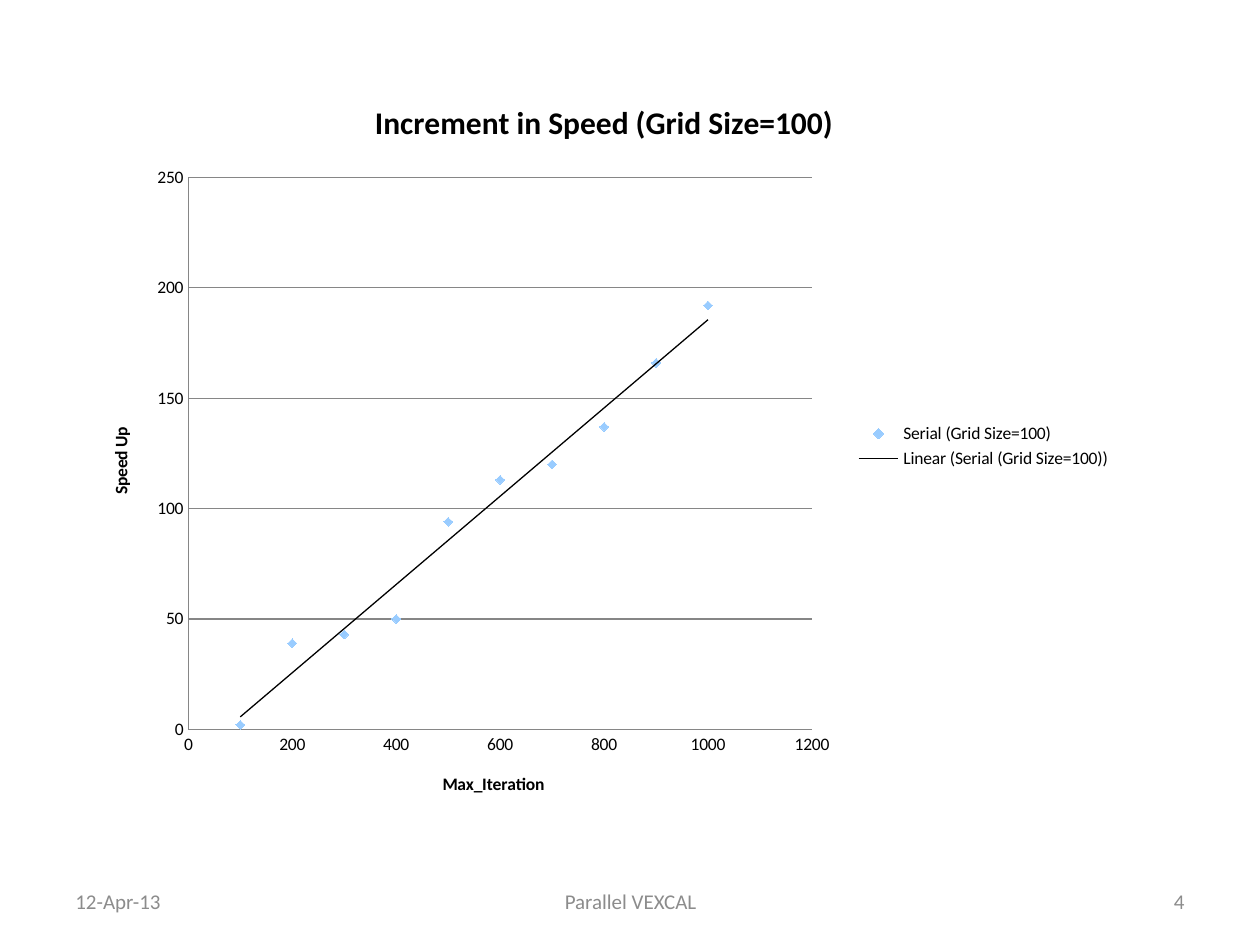
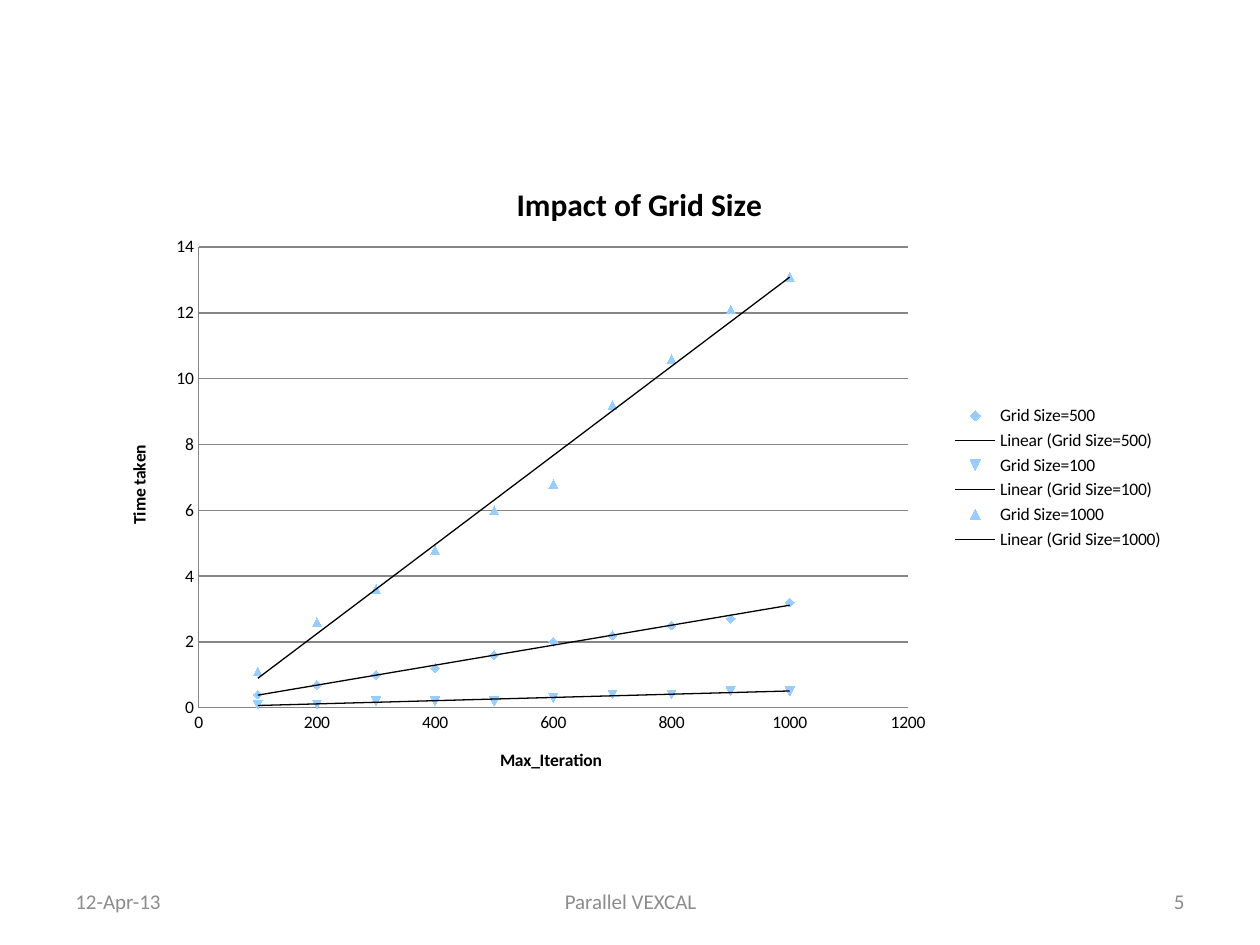
from dataclasses import dataclass

import pptx
import pptx.chart.data
import pptx.dml.color
import pptx.enum.chart
import pptx.enum.text
import pptx.oxml
import pptx.oxml.ns
import pptx.util

Inches = pptx.util.Inches
Pt = pptx.util.Pt
RGBColor = pptx.dml.color.RGBColor
Align = pptx.enum.text.PP_ALIGN

# Shared look
FONT = "Calibri"
BLACK = RGBColor(0x00, 0x00, 0x00)
FOOTER_GREY = RGBColor(0x8C, 0x8C, 0x8C)
GRID_GREY = RGBColor(0x86, 0x86, 0x86)
MARKER_BLUE = RGBColor(0x99, 0xCC, 0xFF)

DATE = "12-Apr-13"
TOPIC = "Parallel VEXCAL"
FOOTER_TOP, FOOTER_HEIGHT = 6.95, 0.4
ITERATIONS = range(100, 1001, 100)


@dataclass
class Measurement:
    """One scatter series: a value for each iteration count."""
    name: str
    values: list[float]


@dataclass
class ScatterSlide:
    number: int
    title: str
    value_title: str
    box: tuple[float, float, float, float]
    plot: tuple[float, float, float, float]  # fractions of the chart box
    value_max: float
    value_step: float
    measurements: list[Measurement]


SLIDES = [
    ScatterSlide(
        4, "Increment in Speed (Grid Size=100)", "Speed Up",
        (0.67, 0.58, 8.25, 5.92), (0.1, 0.14, 0.6, 0.74), 250, 50,
        [Measurement("Serial (Grid Size=100)",
                     [2, 39, 43, 50, 94, 113, 120, 137, 166, 192])]),
    ScatterSlide(
        5, "Impact of Grid Size", "Time taken",
        (0.81, 1.25, 8.53, 5.08), (0.09, 0.14, 0.66, 0.72), 14, 2,
        [Measurement("Grid Size=500",
                     [0.4, 0.7, 1, 1.2, 1.6, 2, 2.2, 2.5, 2.7, 3.2]),
         Measurement("Grid Size=100",
                     [0.1, 0.1, 0.2, 0.2, 0.2, 0.3, 0.4, 0.4, 0.5, 0.5]),
         Measurement("Grid Size=1000",
                     [1.1, 2.6, 3.6, 4.8, 6, 6.8, 9.2, 10.6, 12.1, 13.1])]),
]


def write(frame, text: str, *, size: float, color: RGBColor = BLACK,
          bold: bool = False, align: Align = Align.LEFT) -> None:
    """Put one formatted paragraph into a text frame."""
    paragraph = frame.paragraphs[0]
    paragraph.alignment = align
    run = paragraph.add_run()
    run.text = text
    run.font.name = FONT
    run.font.size = Pt(size)
    run.font.bold = bold
    run.font.color.rgb = color


def add_footer(slide, number: int) -> None:
    """Date, topic and slide number along the bottom edge."""
    for text, left, width, align in (
            (DATE, 0.5, 2.33, Align.LEFT),
            (TOPIC, 3.42, 3.17, Align.CENTER),
            (str(number), 7.17, 2.33, Align.RIGHT)):
        box = slide.shapes.add_textbox(Inches(left), Inches(FOOTER_TOP),
                                       Inches(width), Inches(FOOTER_HEIGHT))
        frame = box.text_frame
        frame.word_wrap = True
        frame.vertical_anchor = pptx.enum.text.MSO_ANCHOR.MIDDLE
        write(frame, text, size=12, color=FOOTER_GREY, align=align)


def place_plot(chart, fractions: tuple[float, float, float, float]) -> None:
    """Fix the inner plot area inside the chart box."""
    sizes = "".join(f'<c:{tag} val="{value}"/>'
                    for tag, value in zip("xywh", fractions))
    layout = pptx.oxml.parse_xml(
        f'<c:layout {pptx.oxml.ns.nsdecls("c")}><c:manualLayout>'
        '<c:layoutTarget val="inner"/><c:xMode val="edge"/>'
        f'<c:yMode val="edge"/>{sizes}</c:manualLayout></c:layout>')
    plot_area = chart.element.find(".//" + pptx.oxml.ns.qn("c:plotArea"))
    for old in plot_area.findall(pptx.oxml.ns.qn("c:layout")):
        plot_area.remove(old)
    plot_area.insert(0, layout)


def add_linear_trend(series) -> None:
    """Black straight trend line through one series."""
    trend = pptx.oxml.parse_xml(
        f'<c:trendline {pptx.oxml.ns.nsdecls("c", "a")}>'
        f'<c:spPr><a:ln w="{Pt(0.75)}"><a:solidFill><a:srgbClr val="{BLACK}"/>'
        '</a:solidFill></a:ln></c:spPr><c:trendlineType val="linear"/>'
        '<c:dispRSqr val="0"/><c:dispEq val="0"/></c:trendline>')
    x_values = series._element.find(pptx.oxml.ns.qn("c:xVal"))
    x_values.addprevious(trend)


def format_axis(axis, title: str, maximum: float, step: float,
                grid: bool) -> None:
    axis.minimum_scale, axis.maximum_scale = 0, maximum
    axis.major_unit = step
    axis.major_tick_mark = pptx.enum.chart.XL_TICK_MARK.NONE
    axis.minor_tick_mark = pptx.enum.chart.XL_TICK_MARK.NONE
    axis.tick_labels.number_format = "General"
    axis.tick_labels.number_format_is_linked = False
    axis.format.line.color.rgb = GRID_GREY
    axis.format.line.width = Pt(0.75)
    axis.has_major_gridlines = grid
    if grid:
        axis.major_gridlines.format.line.color.rgb = GRID_GREY
        axis.major_gridlines.format.line.width = Pt(0.75)
    write(axis.axis_title.text_frame, title, size=10, bold=True,
          align=Align.CENTER)


def add_scatter(slide, content: ScatterSlide) -> None:
    """Scatter chart with a linear trend through every series."""
    data = pptx.chart.data.XyChartData()
    for measurement in content.measurements:
        points = data.add_series(measurement.name)
        for iteration, value in zip(ITERATIONS, measurement.values):
            points.add_data_point(iteration, value)
    chart = slide.shapes.add_chart(
        pptx.enum.chart.XL_CHART_TYPE.XY_SCATTER,
        *map(Inches, content.box), data).chart

    # Text, legend and plot area
    chart.font.name = FONT
    chart.font.size = Pt(10)
    chart.font.color.rgb = BLACK
    chart.has_title = True
    write(chart.chart_title.text_frame, content.title, size=18, bold=True,
          align=Align.CENTER)
    chart.has_legend = True
    chart.legend.position = pptx.enum.chart.XL_LEGEND_POSITION.RIGHT
    chart.legend.include_in_layout = False
    place_plot(chart, content.plot)

    # Axes
    format_axis(chart.category_axis, "Max_Iteration", 1200, 200, False)
    format_axis(chart.value_axis, content.value_title, content.value_max,
                content.value_step, True)

    # Markers and trends
    chart.plots[0].vary_by_categories = False
    for series in chart.plots[0].series:
        series.format.line.fill.background()
        series.marker.size = 5
        series.marker.format.fill.solid()
        series.marker.format.fill.fore_color.rgb = MARKER_BLUE
        series.marker.format.line.fill.background()
        add_linear_trend(series)


deck = pptx.Presentation()
deck.slide_width, deck.slide_height = Inches(10), Inches(7.5)
blank_layout = deck.slide_layouts[6]
for content in SLIDES:
    slide = deck.slides.add_slide(blank_layout)
    add_footer(slide, content.number)
    add_scatter(slide, content)
deck.save("out.pptx")
